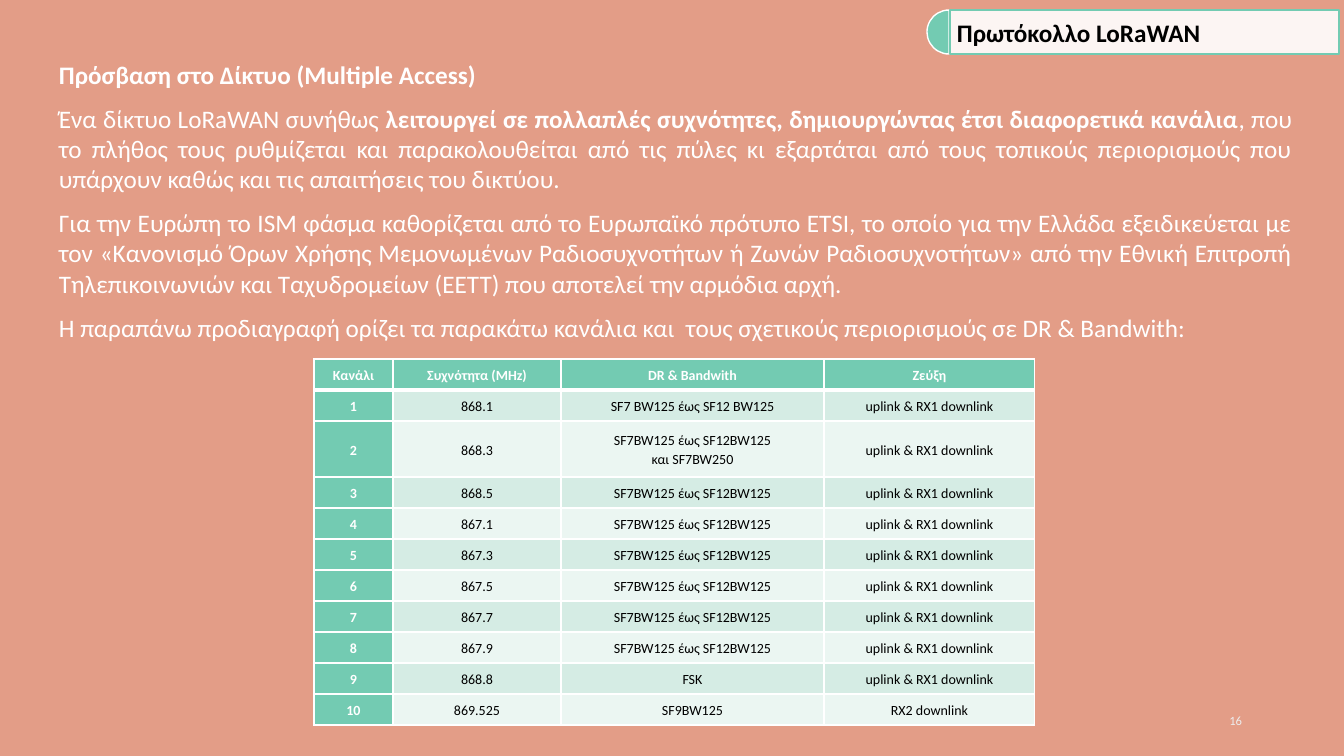
import pptx
import pptx.dml.color
import pptx.enum.shapes
import pptx.enum.text
import pptx.oxml
import pptx.oxml.ns
import pptx.util

RGBColor = pptx.dml.color.RGBColor
ALIGN = pptx.enum.text.PP_ALIGN
MIDDLE = pptx.enum.text.MSO_ANCHOR.MIDDLE
SHAPE = pptx.enum.shapes.MSO_SHAPE

EMU_PER_PX = 914400 / 100.8
FONT = "Calibri"

SALMON = RGBColor(0xE3, 0x9D, 0x87)
MINT = RGBColor(0x73, 0xCB, 0xB2)
MINT_LIGHT = RGBColor(0xD5, 0xEC, 0xE4)
MINT_PALE = RGBColor(0xEB, 0xF6, 0xF2)
WHITE = RGBColor(0xFF, 0xFF, 0xFF)
BLACK = RGBColor(0x00, 0x00, 0x00)
GREY = RGBColor(0xED, 0xED, 0xED)

# Each paragraph is a list of (text, bold) runs
BODY = [
    [("Πρόσβαση στο Δίκτυο (Multiple Access)", True)],
    [("Ένα δίκτυο LoRaWAN συνήθως ", False),
     ("λειτουργεί σε πολλαπλές συχνότητες, δημιουργώντας έτσι διαφορετικά κανάλια", True),
     (", που το πλήθος τους ρυθμίζεται και παρακολουθείται από τις πύλες κι εξαρτάται "
      "από τους τοπικούς περιορισμούς που υπάρχουν καθώς και τις απαιτήσεις του δικτύου.", False)],
    [("Για την Ευρώπη το ISM φάσμα καθορίζεται από το Ευρωπαϊκό πρότυπο ETSI, το οποίο για την "
      "Ελλάδα εξειδικεύεται με τον «Κανονισμό Όρων Χρήσης Μεμονωμένων Ραδιοσυχνοτήτων ή Ζωνών "
      "Ραδιοσυχνοτήτων» από την Εθνική Επιτροπή Τηλεπικοινωνιών και Ταχυδρομείων (ΕΕΤΤ) που "
      "αποτελεί την αρμόδια αρχή.", False)],
    [("Η παραπάνω προδιαγραφή ορίζει τα παρακάτω κανάλια και  τους σχετικούς περιορισμούς "
      "σε DR & Bandwith:", False)],
]

HEADERS = ("Κανάλι", "Συχνότητα (MHz)", "DR & Bandwith", "Ζεύξη")
FULL_RANGE = "SF7BW125 έως SF12BW125"
UPLINK = "uplink & RX1 downlink"
CHANNELS = [
    ("868.1", "SF7 BW125 έως SF12 BW125", UPLINK),
    ("868.3", FULL_RANGE + "\nκαι SF7BW250", UPLINK),
    *[(frequency, FULL_RANGE, UPLINK)
      for frequency in ("868.5", "867.1", "867.3", "867.5", "867.7", "867.9")],
    ("868.8", "FSK", UPLINK),
    ("869.525", "SF9BW125", "RX2 downlink"),
]
COLUMN_WIDTHS = (79, 168, 263, 211)
ROW_HEIGHT = 31
TWO_LINE_ROW_HEIGHT = 56


def px(length):
    return pptx.util.Emu(round(length * EMU_PER_PX))


def set_font(font, size, color, bold=False):
    font.name = FONT
    font.size = pptx.util.Pt(size)
    font.bold = bold
    font.color.rgb = color


def add_shape(slide, kind, box, fill, line):
    shape = slide.shapes.add_shape(kind, *map(px, box))
    shape.shadow.inherit = False
    shape.fill.solid()
    shape.fill.fore_color.rgb = fill
    shape.line.color.rgb = line
    shape.line.width = pptx.util.Pt(1)
    return shape


def add_title_banner(slide, box):
    left, top, width, height = box
    # Half disc behind the left edge
    half_disc = add_shape(slide, SHAPE.PIE, (left - height // 2 - 1, top, height, height), MINT, WHITE)
    half_disc.adjustments[0] = 54
    half_disc.adjustments[1] = 162
    # Slightly transparent label
    label = add_shape(slide, SHAPE.RECTANGLE, box, WHITE, MINT)
    color = label.fill._xPr.find(".//" + pptx.oxml.ns.qn("a:srgbClr"))
    color.append(pptx.oxml.parse_xml(
        f'<a:alpha {pptx.oxml.ns.nsdecls("a")} val="90000"/>'))
    frame = label.text_frame
    frame.margin_left = frame.margin_right = frame.margin_top = frame.margin_bottom = px(7)
    frame.vertical_anchor = MIDDLE
    frame.text = "Πρωτόκολλο LoRaWAN"
    frame.paragraphs[0].alignment = ALIGN.LEFT
    set_font(frame.paragraphs[0].runs[0].font, 18, BLACK, True)


def add_body(slide, box):
    frame = slide.shapes.add_textbox(*map(px, box)).text_frame
    frame.word_wrap = True
    for index, parts in enumerate(BODY):
        paragraph = frame.add_paragraph() if index else frame.paragraphs[0]
        paragraph.alignment = ALIGN.JUSTIFY
        if index:
            paragraph.space_before = pptx.util.Pt(9.8)
        for text, bold in parts:
            run = paragraph.add_run()
            run.text = text
            set_font(run.font, 18, WHITE, bold)


def set_borders(cell, top, bottom):
    properties = cell._tc.get_or_add_tcPr()
    for side, points in (("L", 1), ("R", 1), ("T", top), ("B", bottom)):
        properties.append(pptx.oxml.parse_xml(
            f'<a:ln{side} {pptx.oxml.ns.nsdecls("a")} w="{pptx.util.Pt(points)}">'
            f'<a:solidFill><a:srgbClr val="{WHITE}"/></a:solidFill></a:ln{side}>'))


def fill_cell(cell, text, row, column):
    is_heading = row == 0 or column == 0
    set_borders(cell, 3 if row == 1 else 1, 3 if row == 0 else 1)
    cell.fill.solid()
    cell.fill.fore_color.rgb = MINT if is_heading else MINT_LIGHT if row % 2 else MINT_PALE
    cell.margin_left = cell.margin_right = px(7)
    cell.margin_top = cell.margin_bottom = 0
    cell.vertical_anchor = MIDDLE
    cell.text_frame.text = text
    for paragraph in cell.text_frame.paragraphs:
        paragraph.alignment = ALIGN.CENTER
        paragraph.line_spacing = 1.15
        set_font(paragraph.runs[0].font, 10, WHITE if is_heading else BLACK, is_heading)


def add_channel_table(slide, left, top):
    rows = [HEADERS] + [(str(number), *values) for number, values in enumerate(CHANNELS, 1)]
    heights = [TWO_LINE_ROW_HEIGHT if "\n" in "".join(row) else ROW_HEIGHT for row in rows]
    table = slide.shapes.add_table(
        len(rows), len(HEADERS), px(left), px(top), px(sum(COLUMN_WIDTHS)), px(sum(heights))).table
    for column, width in zip(table.columns, COLUMN_WIDTHS):
        column.width = px(width)
    for row_index, (values, height) in enumerate(zip(rows, heights)):
        table.rows[row_index].height = px(height)
        for column_index, text in enumerate(values):
            fill_cell(table.cell(row_index, column_index), text, row_index, column_index)


def add_page_number(slide, box):
    frame = slide.shapes.add_textbox(*map(px, box)).text_frame
    frame.word_wrap = True
    frame.vertical_anchor = MIDDLE
    frame.text = "16"
    frame.paragraphs[0].alignment = ALIGN.RIGHT
    set_font(frame.paragraphs[0].runs[0].font, 9, GREY)


def main():
    presentation = pptx.Presentation()
    presentation.slide_width = px(1344)
    presentation.slide_height = px(756)
    slide = presentation.slides.add_slide(presentation.slide_layouts[6])
    slide.background.fill.solid()
    slide.background.fill.fore_color.rgb = SALMON
    add_page_number(slide, (950, 701, 302, 40))
    add_title_banner(slide, (950, 10, 389, 44))
    add_body(slide, (49, 54, 1253, 295))
    add_channel_table(slide, 314, 359)
    presentation.save("out.pptx")


if __name__ == "__main__":
    main()
